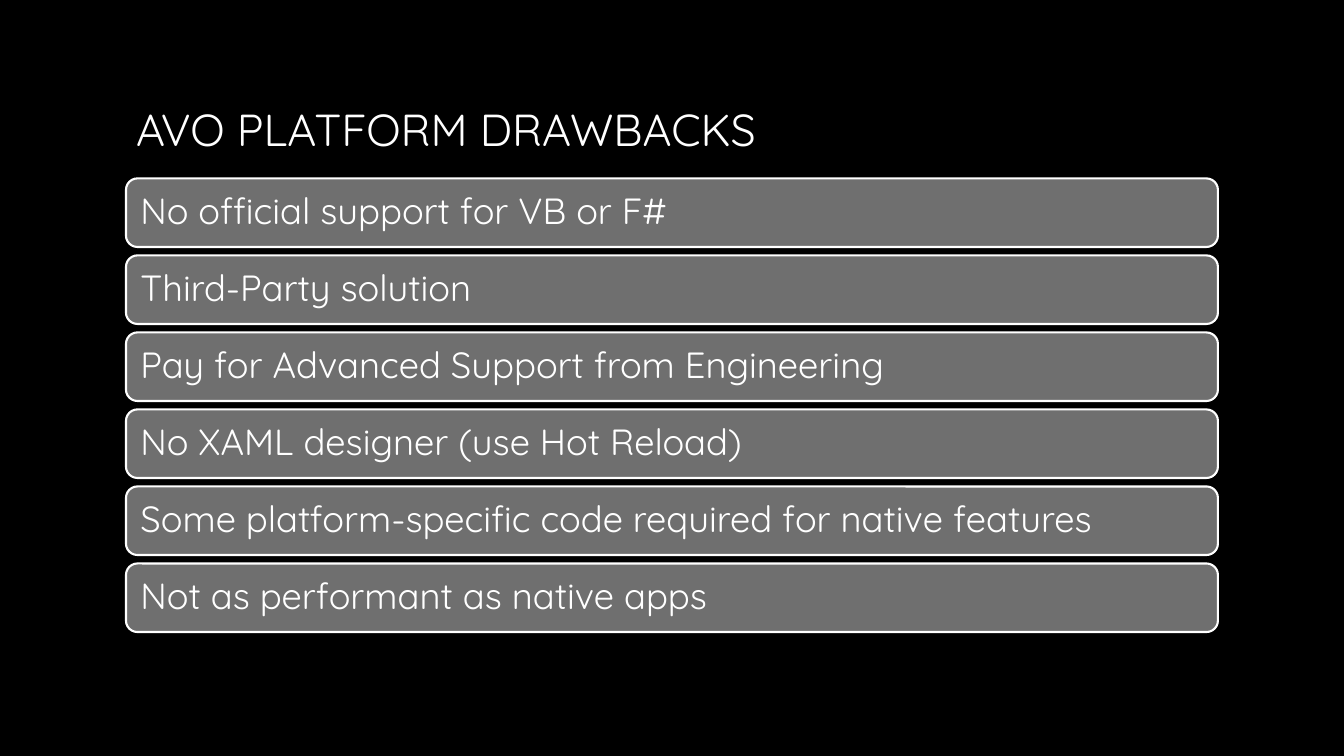
"""Build the slide that lists the drawbacks of Avo Platform."""
import pptx
import pptx.dml.color
import pptx.enum.shapes
import pptx.enum.text
import pptx.util

Inches, Pt = pptx.util.Inches, pptx.util.Pt
BLACK = pptx.dml.color.RGBColor(0x00, 0x00, 0x00)
WHITE = pptx.dml.color.RGBColor(0xFF, 0xFF, 0xFF)
GRAY = pptx.dml.color.RGBColor(0x6F, 0x6F, 0x6F)

LEFT, WIDTH = 1.25, 10.83
FIRST, LAST, HEIGHT = 1.77, 5.59, 0.68
ITEMS = [
    "No official support for VB or F#",
    "Third-Party solution",
    "Pay for Advanced Support from Engineering",
    "No XAML designer (use Hot Reload)",
    "Some platform-specific code required for native features",
    "Not as performant as native apps",
]
PITCH = (LAST - FIRST) / (len(ITEMS) - 1)
INSET = Inches(0.11)
FRAME = {
    "word_wrap": True,
    "auto_size": pptx.enum.text.MSO_AUTO_SIZE.NONE,
    "vertical_anchor": pptx.enum.text.MSO_ANCHOR.MIDDLE,
}
INSETS = {"margin_" + side: INSET for side in ("left", "top", "right", "bottom")}


def put(thing, values):
    for name, value in values.items():
        setattr(thing, name, value)


def write(shape, text, size, frame):
    put(shape.text_frame, frame)
    shape.text_frame.text = text
    line = shape.text_frame.paragraphs[0]
    put(line, {"alignment": pptx.enum.text.PP_ALIGN.LEFT, "line_spacing": 0.9})
    put(line.font, {"name": "Quicksand", "size": Pt(size)})
    line.font.color.rgb = WHITE


deck = pptx.Presentation()
put(deck, {"slide_width": Inches(13.33), "slide_height": Inches(7.5)})
slide = deck.slides.add_slide(deck.slide_layouts[5])
slide.background.fill.solid()
slide.background.fill.fore_color.rgb = BLACK

title = slide.shapes.title
put(title, {"left": Inches(LEFT), "top": Inches(0.67),
            "width": Inches(WIDTH), "height": Inches(1.28)})
write(title, "AVO PLATFORM DRAWBACKS", 32, FRAME)

group = slide.shapes.add_group_shape()
for row, item in enumerate(ITEMS):
    bar = group.shapes.add_shape(
        pptx.enum.shapes.MSO_SHAPE.ROUNDED_RECTANGLE,
        Inches(LEFT), Inches(FIRST + row * PITCH), Inches(WIDTH), Inches(HEIGHT))
    bar.shadow.inherit = False
    bar.fill.solid()
    bar.fill.fore_color.rgb = GRAY
    bar.line.color.rgb = WHITE
    bar.line.width = Pt(1.5)
    write(bar, item, 26, FRAME | INSETS)

deck.save("out.pptx")
